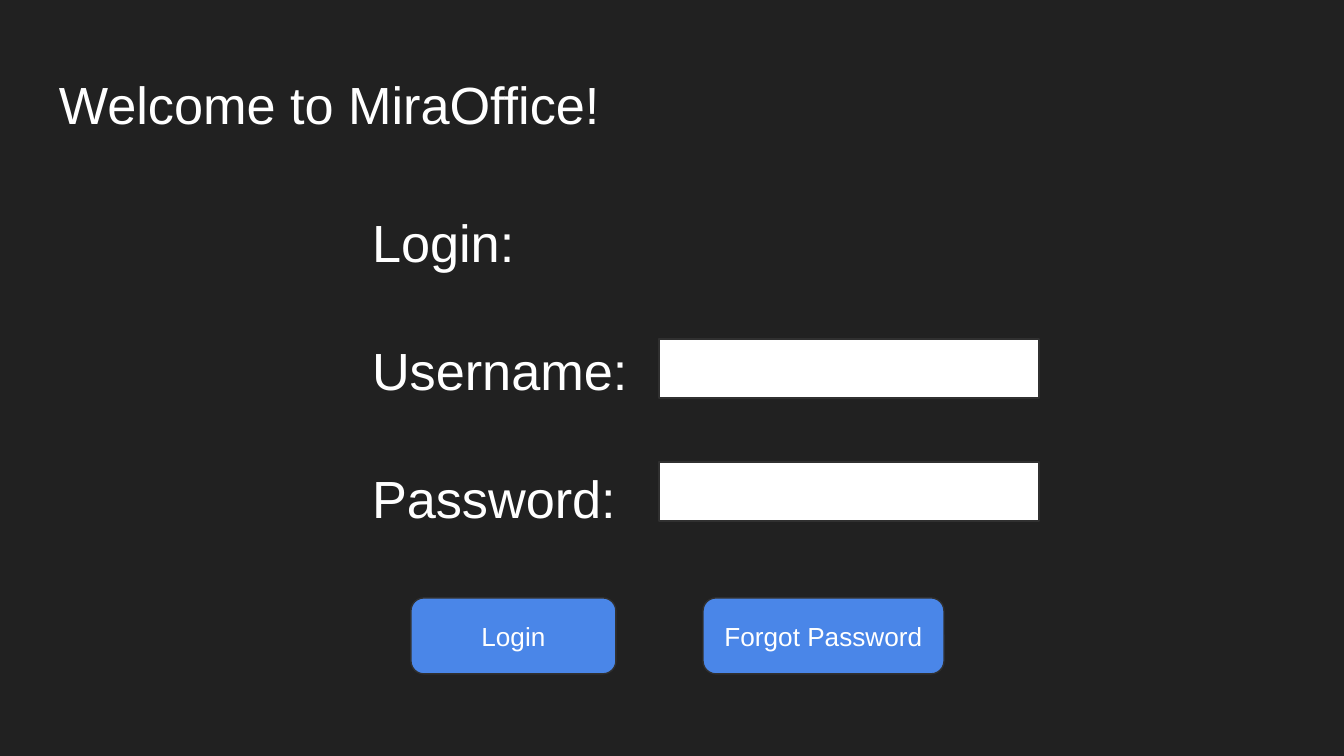
from pptx import Presentation
from pptx import util as u
from pptx.dml.color import RGBColor
from pptx.enum import shapes, text

SCALE = 914400 / 134.4
DARK = RGBColor(0x21, 0x21, 0x21)
EDGE = RGBColor(0x30, 0x30, 0x30)
BLUE = RGBColor(0x4A, 0x86, 0xE8)
WHITE = RGBColor(0xFF, 0xFF, 0xFF)


def px(n):
    return u.Emu(round(n * SCALE))


class Form:
    """Holds the style and the current slide; boxes are (left, top, width, height) in px."""

    font = "Arial"
    pad = 13
    drop = 18  # top inset of large text

    def __init__(self, deck):
        self.slide = deck.slides.add_slide(deck.slide_layouts[5])
        fill = self.slide.background.fill
        fill.solid()
        fill.fore_color.rgb = DARK

    def label(self, frame, lines, size, align, anchor, top, gap=0):
        frame.word_wrap = True
        frame.auto_size = text.MSO_AUTO_SIZE.NONE
        frame.vertical_anchor = anchor
        frame.margin_left = frame.margin_right = frame.margin_bottom = px(self.pad)
        frame.margin_top = px(top)
        frame.text = "\n".join(lines)
        for para in frame.paragraphs:
            para.alignment = align
            para.space_after = u.Pt(gap)
            para.font.name = self.font
            para.font.size = u.Pt(size)
            para.font.color.rgb = WHITE

    def large(self, frame, lines, gap=0):
        self.label(frame, lines, 28, text.PP_ALIGN.LEFT,
                   text.MSO_ANCHOR.TOP, self.drop, gap)

    def title(self, line, box):
        head = self.slide.shapes.title
        head.left, head.top, head.width, head.height = map(px, box)
        self.large(head.text_frame, [line])

    def prompts(self, lines, box, gap):
        area = self.slide.shapes.add_textbox(*map(px, box))
        self.large(area.text_frame, lines, gap)

    def shape(self, kind, box, color):
        item = self.slide.shapes.add_shape(kind, *map(px, box))
        item.shadow.inherit = False
        item.fill.solid()
        item.fill.fore_color.rgb = color
        item.line.color.rgb = EDGE
        item.line.width = u.Pt(0.75)
        return item

    def field(self, box):
        self.shape(shapes.MSO_SHAPE.RECTANGLE, box, WHITE)

    def button(self, line, box):
        item = self.shape(shapes.MSO_SHAPE.ROUNDED_RECTANGLE, box, BLUE)
        item.adjustments[0] = 0.17
        self.label(item.text_frame, [line], 14, text.PP_ALIGN.CENTER,
                   text.MSO_ANCHOR.MIDDLE, self.pad)


def main():
    deck = Presentation()
    deck.slide_width, deck.slide_height = px(1344), px(756)
    form = Form(deck)
    form.title("Welcome to MiraOffice!", (46, 54, 1252, 84))
    form.prompts(["Login:", "Username:", "Password:"], (359, 192, 606, 375), 35)
    for top in (339, 462):
        form.field((659, top, 380, 59))
    for line, left, width in (("Login", 411, 205), ("Forgot Password", 703, 241)):
        form.button(line, (left, 598, width, 76))
    deck.save("out.pptx")


if __name__ == "__main__":
    main()
